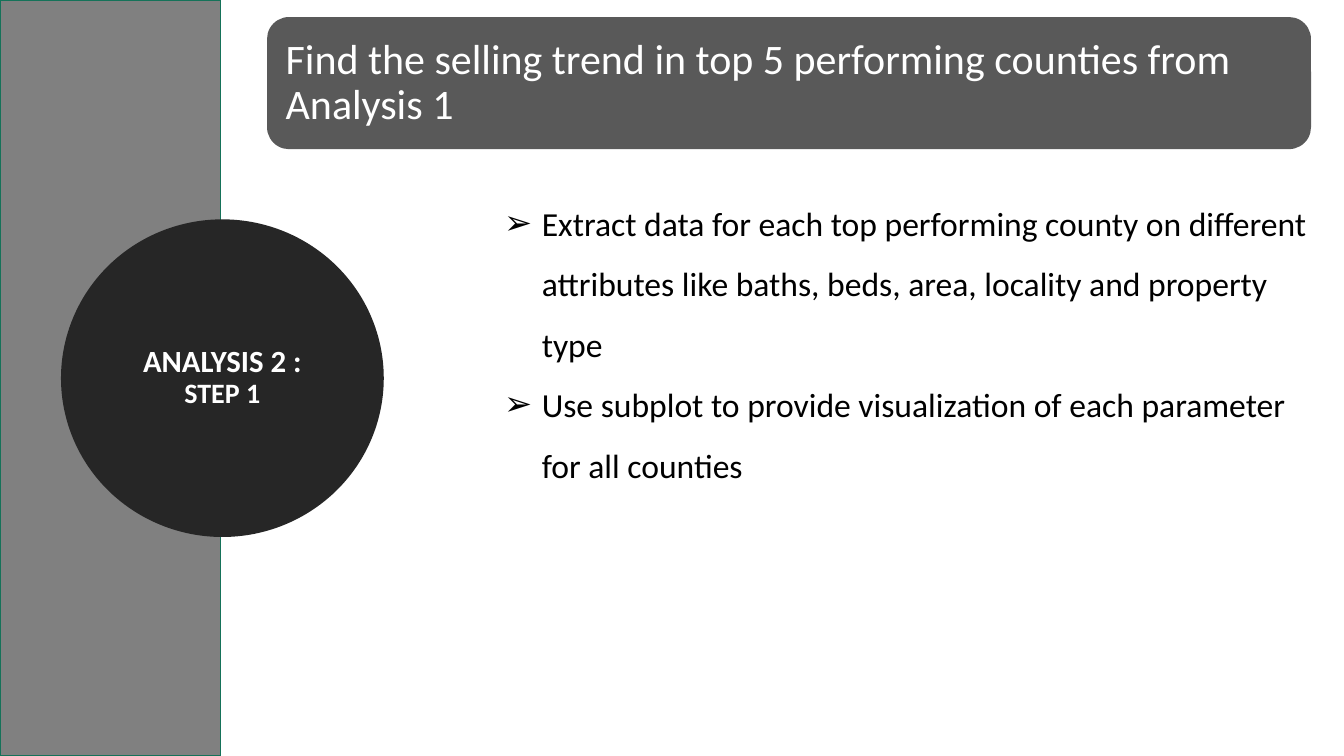
from lxml import etree
from pptx import Presentation
from pptx.dml.color import RGBColor
from pptx.enum import shapes, text
from pptx.oxml import ns
from pptx.util import Cm, Pt

TITLE = "Find the selling trend in top 5 performing counties from Analysis 1"
BULLETS = [
    "Extract data for each top performing county on different attributes "
    "like baths, beds, area, locality and property type",
    "Use subplot to provide visualization of each parameter for all counties",
]
STEP_RUNS = [("ANALYSIS 2 : ", 22), ("STEP 1", 20)]

FONT = "Calibri"
BLACK = RGBColor(0x00, 0x00, 0x00)
WHITE = RGBColor(0xFF, 0xFF, 0xFF)
BANNER_GRAY = RGBColor(0x59, 0x59, 0x59)
PANEL_GRAY = RGBColor(0x80, 0x80, 0x80)
PANEL_EDGE = RGBColor(0x15, 0x72, 0x59)
CIRCLE_DARK = RGBColor(0x26, 0x26, 0x26)

SLIDE_WIDTH, SLIDE_HEIGHT = 33.87, 19.05
BANNER = (6.73, 0.43, 26.31, 3.33)
BANNER_MARGIN = 0.17
TITLE_INSET = 0.3
BODY = (12.45, 4.47, 20.98, 13.08)
PANEL = (0, 0, 5.56, SLIDE_HEIGHT)
CIRCLE = (1.78, 5.77, 7.65, 7.52)
BULLET_INDENT = 0.95


def place(shape, box):
    shape.left, shape.top, shape.width, shape.height = map(Cm, box)


def style_font(font, size, color, bold=False):
    font.name, font.size, font.bold = FONT, Pt(size), bold
    font.color.rgb = color


def add_block(slide, kind, box, fill, line=None, line_width=1):
    shape = slide.shapes.add_shape(kind, *map(Cm, box))
    shape.shadow.inherit = False
    shape.fill.solid()
    shape.fill.fore_color.rgb = fill
    if line is None:
        shape.line.fill.background()
    else:
        shape.line.color.rgb = line
        shape.line.width = Pt(line_width)
    return shape


def fill_body(body):
    place(body, BODY)
    frame = body.text_frame
    frame.text = "\n".join(BULLETS)
    frame.auto_size = text.MSO_AUTO_SIZE.NONE
    for paragraph in frame.paragraphs:
        properties = paragraph._p.get_or_add_pPr()
        properties.set("marL", str(Cm(BULLET_INDENT)))
        properties.set("indent", str(-Cm(BULLET_INDENT)))
        etree.SubElement(properties, ns.qn("a:buChar"), char="➢")
        paragraph.line_spacing = 1.5
        paragraph.space_before = Pt(0)
        style_font(paragraph.runs[0].font, 24, BLACK)


def fill_title(title):
    left, top, width, height = BANNER
    place(title, (left + BANNER_MARGIN, top + BANNER_MARGIN,
                  width - 2 * BANNER_MARGIN, height - 2 * BANNER_MARGIN))
    frame = title.text_frame
    frame.text = TITLE
    frame.auto_size = text.MSO_AUTO_SIZE.NONE
    frame.vertical_anchor = text.MSO_ANCHOR.MIDDLE
    frame.margin_left = frame.margin_right = Cm(TITLE_INSET)
    frame.margin_top = frame.margin_bottom = Cm(TITLE_INSET)
    paragraph = frame.paragraphs[0]
    paragraph.alignment = text.PP_ALIGN.LEFT
    paragraph.line_spacing = 0.9
    style_font(paragraph.runs[0].font, 30, WHITE)


def fill_circle(circle):
    frame = circle.text_frame
    frame.word_wrap = True
    frame.vertical_anchor = text.MSO_ANCHOR.MIDDLE
    paragraph = frame.paragraphs[0]
    paragraph.alignment = text.PP_ALIGN.CENTER
    paragraph.line_spacing = 0.9
    paragraph.space_after = Pt(8)
    for words, size in STEP_RUNS:
        run = paragraph.add_run()
        run.text = words
        style_font(run.font, size, WHITE, bold=True)


def main():
    """Build the slide for step 1 of analysis 2."""
    presentation = Presentation()
    presentation.slide_width = Cm(SLIDE_WIDTH)
    presentation.slide_height = Cm(SLIDE_HEIGHT)
    slide = presentation.slides.add_slide(presentation.slide_layouts[1])
    title, body = slide.placeholders
    fill_body(body)
    fill_title(title)
    kinds = shapes.MSO_SHAPE
    banner = add_block(slide, kinds.ROUNDED_RECTANGLE, BANNER, BANNER_GRAY)
    banner._element.addnext(title._element)
    add_block(slide, kinds.RECTANGLE, PANEL, PANEL_GRAY, PANEL_EDGE)
    fill_circle(add_block(slide, kinds.OVAL, CIRCLE, CIRCLE_DARK, CIRCLE_DARK, 13.75))
    presentation.save("out.pptx")


if __name__ == "__main__":
    main()
